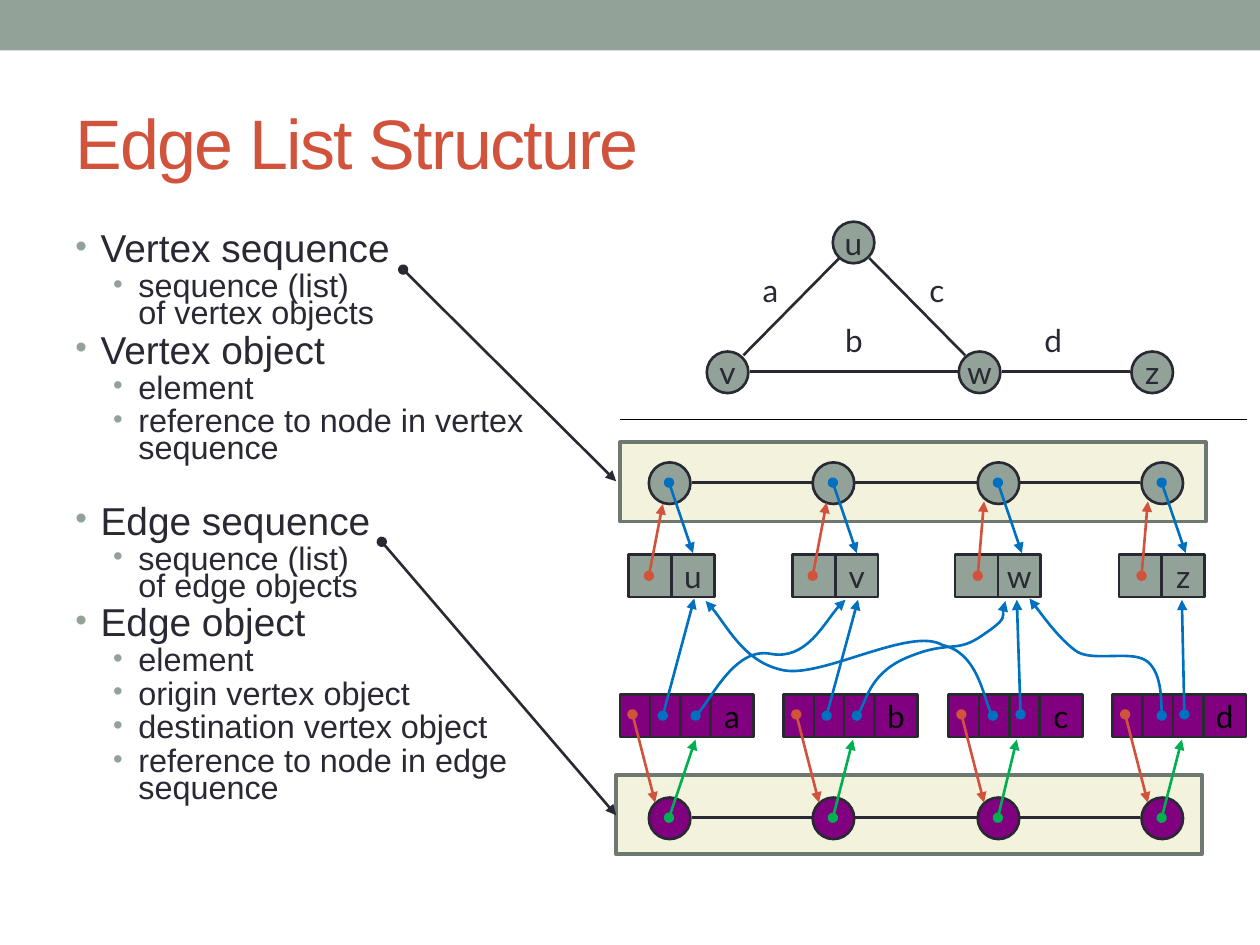
from dataclasses import dataclass
from typing import NamedTuple, Optional

from lxml.etree import SubElement
from pptx import Presentation
from pptx.dml.color import RGBColor
from pptx.enum.shapes import MSO_CONNECTOR, MSO_SHAPE
from pptx.enum.text import MSO_ANCHOR, PP_ALIGN
from pptx.oxml.ns import qn
from pptx.util import Inches, Pt


@dataclass(frozen=True)
class Theme:
    sage: str = "93A299"
    ink: str = "292934"
    red: str = "D2533C"
    blue: str = "0070C0"
    green: str = "00B050"
    purple: str = "800080"
    cream: str = "F3F2DC"
    frame: str = "6D7871"
    black: str = "000000"
    body_font: str = "Arial"
    graph_font: str = "Lato"
    title_size: float = 40
    topic_size: float = 22.2
    detail_size: float = 18.5
    label_size: float = 18
    line: float = 1.5


T = Theme()


class Point(NamedTuple):
    x: float
    y: float


class Bullet(NamedTuple):
    text: str
    level: int = 1
    gap: Optional[float] = None  # space before, in points


class Label(NamedTuple):
    text: str
    x: float
    y: float


class Curve(NamedTuple):
    start: Point
    controls: list  # three points for each Bezier segment


def columns(span: float) -> list:
    """Offsets of four columns spread evenly over a span."""
    return [round(span * i / 3, 2) for i in range(4)]


DOT = 0.33
CELL_H = 0.34
COLUMNS = columns(3.91)
RECORD_COLUMNS = columns(3.89)
VERTEX_ROW, EDGE_ROW = 3.67, 6.33

BULLETS = [
    Bullet("Vertex sequence", 0, 0),
    Bullet("sequence (list)\vof vertex objects"),
    Bullet("Vertex object", 0),
    Bullet("element"),
    Bullet("reference to node in vertex sequence"),
    Bullet("Edge sequence", 0, 25),
    Bullet("sequence (list)\vof edge objects"),
    Bullet("Edge object", 0),
    Bullet("element"),
    Bullet("origin vertex object"),
    Bullet("destination vertex object"),
    Bullet("reference to node in edge sequence"),
]
GRAPH_NODES = [Label("v", 5.61, 2.79), Label("u", 6.61, 1.76),
               Label("w", 7.61, 2.79), Label("z", 8.98, 2.79)]
GRAPH_EDGES = [((6.9, 2.05), (7.66, 2.82)), ((6.66, 2.05), (5.9, 2.82)),
               ((7.6, 2.95), (5.95, 2.95)), ((8.97, 2.95), (7.95, 2.95))]
EDGE_NAMES = [Label("a", 5.95, 2.1), Label("c", 7.27, 2.1),
              Label("b", 6.61, 2.5), Label("d", 8.19, 2.5)]
ENDPOINT_ARROWS = [((5.26, 5.68), (5.51, 4.75)), ((6.56, 5.68), (6.81, 4.76)),
                   ((8.1, 5.67), (8.07, 4.76)), ((9.4, 5.67), (9.38, 4.76))]
ENDPOINT_CURVES = [
    Curve(Point(5.52, 5.68), [(5.62, 5.6), (5.84, 5.13), (6.12, 5.19),
                              (6.4, 5.24), (6.59, 4.85), (6.71, 4.76)]),
    Curve(Point(6.8, 5.68), [(6.87, 5.6), (6.91, 5.33), (7.22, 5.21),
                             (7.54, 5.08), (7.59, 5.19), (7.8, 5.04),
                             (8.01, 4.9), (7.94, 4.83), (7.98, 4.77)]),
    Curve(Point(7.88, 5.68), [(7.81, 5.59), (7.76, 5.18), (7.48, 5.12),
                              (7.23, 4.97), (6.53, 5.38), (6.22, 5.32),
                              (5.91, 5.26), (5.73, 4.89), (5.6, 4.77)]),
    Curve(Point(9.22, 5.68), [(9.22, 5.68), (9.22, 5.32), (9.09, 5.24),
                              (8.96, 5.16), (8.65, 5.26), (8.53, 5.16),
                              (8.4, 5.06), (8.24, 4.84), (8.17, 4.75)]),
]


def style_runs(p, font: str, size: float, color: str) -> None:
    for r in p.runs:
        for name, value in {"name": font, "size": Pt(size)}.items():
            setattr(r.font, name, value)
        r.font.color.rgb = RGBColor.from_string(color)


def set_line(sp, color: str, width: float, arrow: bool = False) -> None:
    sp.line.color.rgb = RGBColor.from_string(color)
    sp.line.width = Pt(width)
    if arrow:
        ln = sp.line._get_or_add_ln()
        SubElement(ln, qn("a:headEnd"), type="oval")
        SubElement(ln, qn("a:tailEnd"), type="triangle")


def write_label(sp, text: str, color: str = T.ink) -> None:
    tf = sp.text_frame
    tf.word_wrap = False
    p = tf.paragraphs[0]
    p.text, p.alignment = text, PP_ALIGN.CENTER
    style_runs(p, T.graph_font, T.label_size, color)


def add_box(s, x: float, y: float, w: float, h: float, fill: str, text: str = "",
            kind=MSO_SHAPE.RECTANGLE, line: Optional[str] = T.ink, width: float = T.line) -> None:
    sp = s.shapes.add_shape(kind, Inches(x), Inches(y), Inches(w), Inches(h))
    sp.shadow.inherit = False
    sp.fill.solid()
    sp.fill.fore_color.rgb = RGBColor.from_string(fill)
    if line:
        set_line(sp, line, width)
    else:
        sp.line.fill.background()
    if text:
        sp.text_frame.vertical_anchor = MSO_ANCHOR.MIDDLE
        write_label(sp, text, T.black if fill == T.purple else T.ink)


def add_dot(s, x: float, y: float, fill: str, text: str = "") -> None:
    add_box(s, x, y, DOT, DOT, fill, text, MSO_SHAPE.OVAL)


def add_line(s, start: tuple, end: tuple, color: str = T.ink, width: float = T.line,
             arrow: bool = False) -> None:
    cx = s.shapes.add_connector(MSO_CONNECTOR.STRAIGHT, *map(Inches, (*start, *end)))
    set_line(cx, color, width, arrow)
    SubElement(cx._element.spPr, qn("a:effectLst"))


def add_curve(s, curve: Curve) -> None:
    """Draw an arrow through Bezier segments, three control points each."""
    fb = s.shapes.build_freeform(*map(Inches, curve.start))
    fb.add_line_segments([tuple(map(Inches, pt)) for pt in curve.controls], close=False)
    sp = fb.convert_to_shape()
    sp.shadow.inherit = False
    sp.fill.background()
    set_line(sp, T.blue, T.line, arrow=True)
    outline = sp._element.find(".//" + qn("a:path"))
    steps = outline.findall(qn("a:lnTo"))
    for i in range(0, len(steps), 3):
        bezier = SubElement(outline, qn("a:cubicBezTo"))
        for step in steps[i:i + 3]:
            bezier.append(step[0])
            outline.remove(step)


def add_text(s, x: float, y: float, w: float, h: float):
    return s.shapes.add_textbox(Inches(x), Inches(y), Inches(w), Inches(h))


def add_title(s, text: str) -> None:
    tf = add_text(s, 0.5, 0.58, 9, 1.08).text_frame
    tf.word_wrap, tf.vertical_anchor = True, MSO_ANCHOR.MIDDLE
    p = tf.paragraphs[0]
    p.text = text
    style_runs(p, T.body_font, T.title_size, T.red)
    p.runs[0].font._element.set("spc", "-100")


def add_bullets(s, bullets: list) -> None:
    tf = add_text(s, 0.5, 1.83, 4.42, 5.16).text_frame
    tf.word_wrap = True
    for i, item in enumerate(bullets):
        p = tf.paragraphs[0] if i == 0 else tf.add_paragraph()
        size = T.detail_size if item.level else T.topic_size
        p.text, p.level, p.line_spacing = item.text, item.level, 0.7
        p.space_before = Pt(size * 0.2 if item.gap is None else item.gap)
        pPr = p._p.get_or_add_pPr()
        pPr.set("marL", str(Inches(0.5 if item.level else 0.2)))
        pPr.set("indent", str(Inches(-0.2)))
        SubElement(SubElement(pPr, qn("a:buClr")), qn("a:srgbClr"), val=T.sage)
        SubElement(pPr, qn("a:buSzPct"), val="85000")
        SubElement(pPr, qn("a:buFont"), typeface=T.body_font)
        SubElement(pPr, qn("a:buChar"), char="•")
        style_runs(p, T.body_font, size, T.ink)


def add_graph(s) -> None:
    for start, end in GRAPH_EDGES:
        add_line(s, start, end)
    for node in GRAPH_NODES:
        add_dot(s, node.x, node.y, T.sage, node.text)
    for name in EDGE_NAMES:
        write_label(add_text(s, name.x, name.y, 0.33, 0.4), name.text)


def add_sequence(s, x: float, y: float, row: float, fill: str) -> None:
    """Draw a framed list of linked nodes."""
    add_box(s, x, y, 4.65, 0.63, T.cream, line=T.frame, width=2)
    add_line(s, (5.49, row + 0.16), (9.05, row + 0.16))
    for dx in COLUMNS:
        add_dot(s, 5.15 + dx, row, fill)


def add_record(s, x: float, y: float, widths: list, fill: str, text: str) -> None:
    """Draw adjoining cells with the element in the last one."""
    for i, w in enumerate(widths):
        add_box(s, x + sum(widths[:i]), y, w, CELL_H, fill, text if i == len(widths) - 1 else "")


def add_pointers(s) -> None:
    vertex_back = [(5.26, 4), (6.56, 3.99), (7.81, 3.98), (9.11, 3.98)]
    edge_tops = [5.52, 6.77, 8.07, 9.38]
    for dx, back, top in zip(COLUMNS, vertex_back, edge_tops):
        center = 5.31 + dx
        for start, end, color in [
            ((center, 3.83), (center + 0.19, 4.39), T.blue),
            ((5.15 + dx, 4.57), back, T.red),
            ((5.02 + dx, 5.67), (5.2 + dx, 6.37), T.red),
            ((center, 6.49), (top, 5.87), T.green),
        ]:
            add_line(s, start, end, color, arrow=True)
    for start, end in ENDPOINT_ARROWS:
        add_line(s, start, end, T.blue, arrow=True)
    for curve in ENDPOINT_CURVES:
        add_curve(s, curve)


def main() -> None:
    prs = Presentation()
    prs.slide_width, prs.slide_height = Inches(10), Inches(7.5)
    s = prs.slides.add_slide(prs.slide_layouts[6])
    add_box(s, 0, 0, 10, 0.4, T.sage, line=None)
    add_title(s, "Edge List Structure")
    add_bullets(s, BULLETS)
    add_graph(s)
    add_line(s, (4.92, 3.33), (9.9, 3.33), T.black, 0.75)
    add_sequence(s, 4.92, 3.51, VERTEX_ROW, T.sage)
    add_sequence(s, 4.89, 6.15, EDGE_ROW, T.purple)
    for dx, vertex in zip(RECORD_COLUMNS, "uvwz"):
        add_record(s, 4.99 + dx, 4.4, [0.34, 0.34], T.sage, vertex)
    for dx, edge in zip(COLUMNS, "abcd"):
        add_record(s, 4.92 + dx, 5.51, [0.24, 0.24, 0.24, 0.34], T.purple, edge)
    add_pointers(s)
    add_line(s, (3.2, 2.14), (4.89, 3.82), arrow=True)
    add_line(s, (3.03, 4.3), (4.89, 6.47), arrow=True)
    prs.save("out.pptx")


if __name__ == "__main__":
    main()
